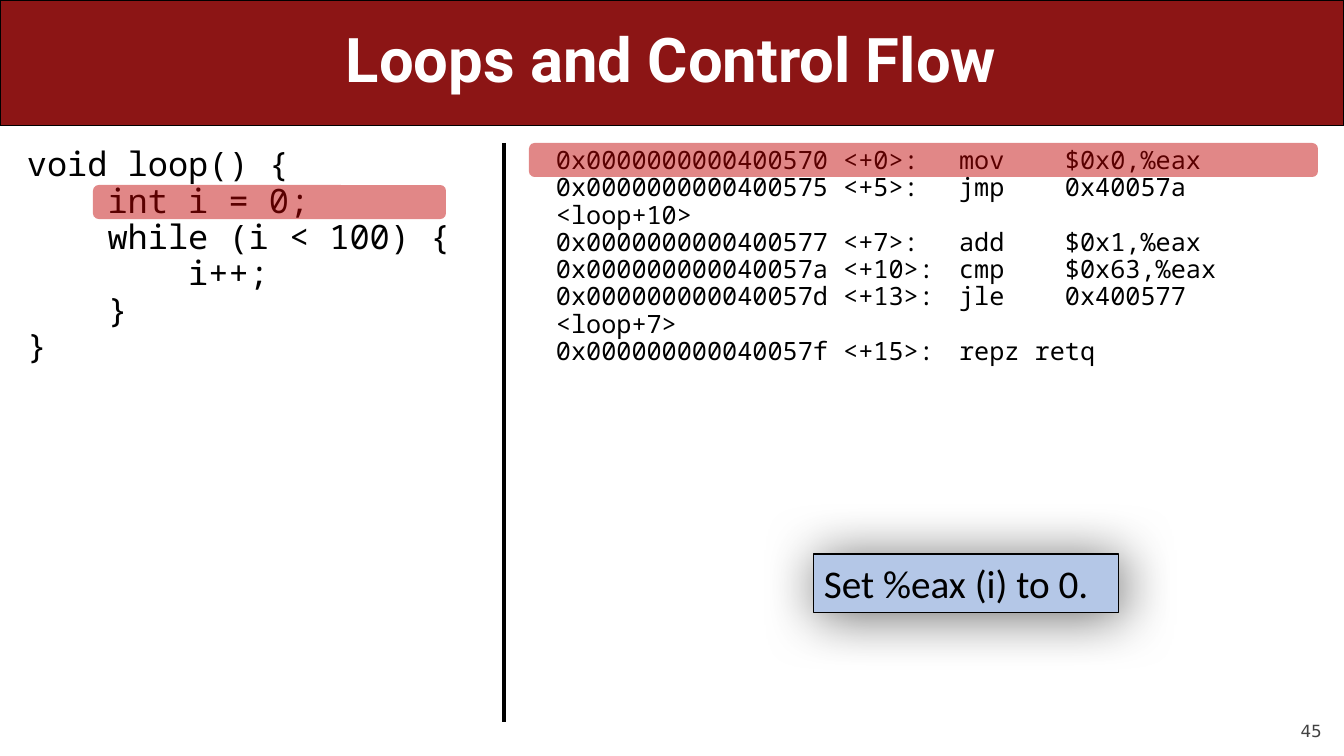
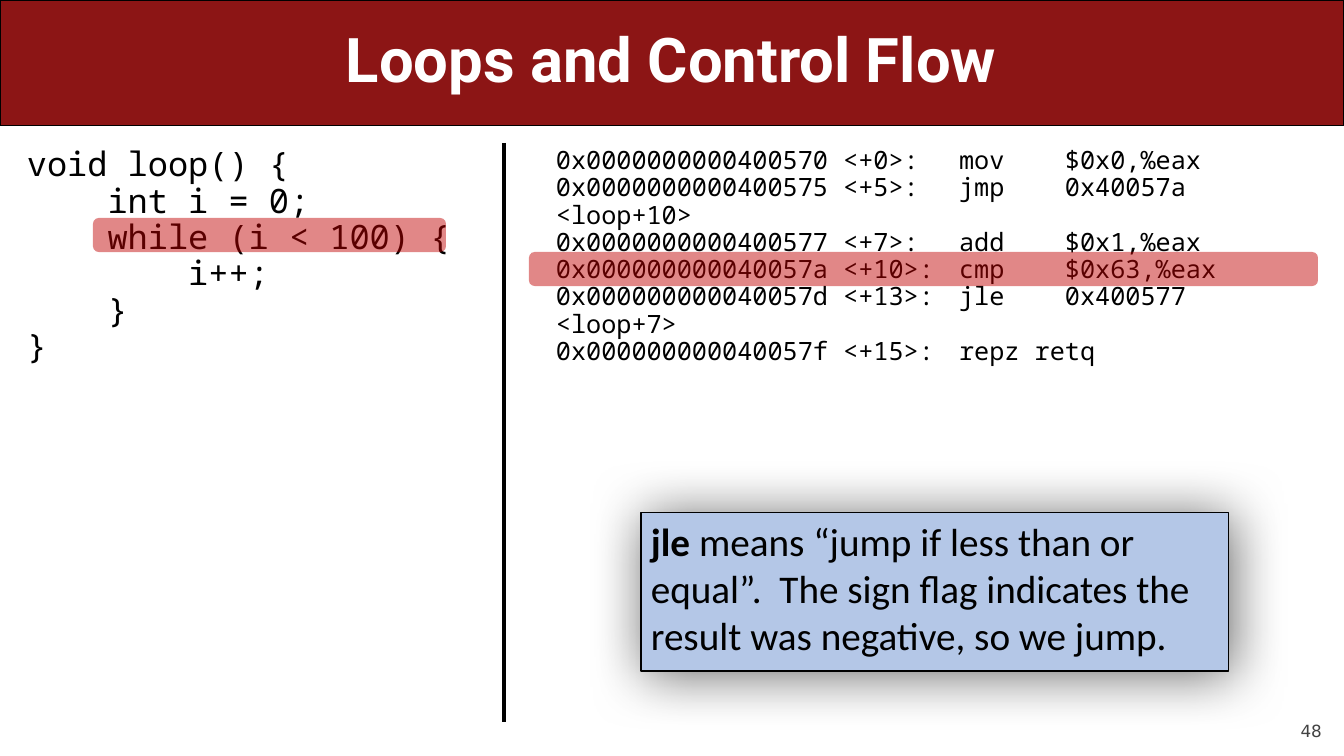
from lxml.etree import SubElement
from pptx import Presentation
from pptx.dml.color import RGBColor
from pptx.enum.shapes import MSO_CONNECTOR, MSO_SHAPE
from pptx.enum.text import MSO_ANCHOR, PP_ALIGN
from pptx.oxml import parse_xml
from pptx.oxml.ns import nsdecls, qn
from pptx.util import Pt

SCALE = 914400 / 100.8
HEX = {"band": "8C1515", "black": "000000", "white": "FFFFFF",
       "gray": "424242", "note": "B4C7E7", "mark": "C00000"}
TITLE = "Loops and Control Flow"
MONO = "Noto Sans Mono"
CODE = [
    "void loop() {",
    "    int i = 0;",
    "    while (i < 100) {",
    "        i++;",
    "    }",
    "}",
]
ASM = [
    "0x0000000000400570 <+0>:\tmov    $0x0,%eax",
    "0x0000000000400575 <+5>:\tjmp    0x40057a <loop+10>",
    "0x0000000000400577 <+7>:\tadd    $0x1,%eax",
    "0x000000000040057a <+10>:\tcmp    $0x63,%eax",
    "0x000000000040057d <+13>:\tjle    0x400577 <loop+7>",
    "0x000000000040057f <+15>:\trepz retq",
]
PAGES = [
    {"number": "45", "code": 185, "asm": 143, "box": (814, 554, 305, 59),
     "note": [("Set %eax (i) to 0.", False)]},
    {"number": "48", "code": 218, "asm": 252, "box": (641, 512, 588, 159),
     "note": [("jle", True),
              (" means “jump if less than or equal”.  The sign flag indicates "
               "the result was negative, so we jump.", False)]},
]
SHADOW = f"""<a:effectLst {nsdecls("a")}>
<a:outerShdw blurRad="{Pt(40)}" dist="{Pt(3)}" dir="2700000" algn="tl" rotWithShape="0">
<a:srgbClr val="{HEX["black"]}"><a:alpha val="58000"/></a:srgbClr>
</a:outerShdw></a:effectLst>"""


def block(slide, kind, box, fill, line=None):
    shape = slide.shapes.add_shape(kind, *[round(n * SCALE) for n in box])
    shape.shadow.inherit = False
    shape.fill.solid()
    shape.fill.fore_color.rgb = RGBColor.from_string(HEX[fill])
    if line:
        shape.line.color.rgb = RGBColor.from_string(HEX[line])
        shape.line.width = Pt(0.75)
    else:
        shape.line.fill.background()
    return shape


def write(slide, box, lines, font, size, color="black", align=PP_ALIGN.LEFT,
          space=0.9, anchor=MSO_ANCHOR.TOP, shape=None):
    if shape is None:
        shape = slide.shapes.add_textbox(*[round(n * SCALE) for n in box])
    frame = shape.text_frame
    frame.word_wrap = True
    frame.vertical_anchor = anchor
    for i, line in enumerate(lines):
        para = frame.add_paragraph() if i else frame.paragraphs[0]
        para.text = line
        para.alignment = align
        para.line_spacing = space
        para.font.name = font
        para.font.size = Pt(size)
        para.font.color.rgb = RGBColor.from_string(HEX[color])
    return frame


deck = Presentation()
deck.slide_width = round(1344 * SCALE)
deck.slide_height = round(756 * SCALE)

for page in PAGES:
    slide = deck.slides.add_slide(deck.slide_layouts[6])

    foot = write(slide, (1210, 701, 112, 40), [page["number"]], "DejaVu Sans",
                 12, "gray", PP_ALIGN.RIGHT, 1.0, MSO_ANCHOR.BOTTOM)
    foot.margin_left = foot.margin_right = 0
    foot.margin_top = foot.margin_bottom = 0
    foot.paragraphs[0].space_before = Pt(5)

    block(slide, MSO_SHAPE.RECTANGLE, (0, 0, 1344, 126), "band", "black")
    head = write(slide, (50, 0, 1243, 126), [TITLE], "Roboto", 44, "white",
                 PP_ALIGN.CENTER, anchor=MSO_ANCHOR.MIDDLE)
    head.paragraphs[0].font.bold = True

    write(slide, (17, 143, 446, 572), CODE, MONO, 24)
    write(slide, (546, 143, 777, 572), ASM, MONO, 18)

    rule = slide.shapes.add_connector(
        MSO_CONNECTOR.STRAIGHT, *[round(n * SCALE) for n in (504, 143, 504, 722)])
    rule.line.color.rgb = RGBColor.from_string(HEX["black"])
    rule.line.width = Pt(3)
    SubElement(rule._element.spPr, qn("a:effectLst"))

    note = block(slide, MSO_SHAPE.RECTANGLE, page["box"], "note", "black")
    props = note._element.spPr
    props.replace(props.find(qn("a:effectLst")), parse_xml(SHADOW))
    frame = write(slide, None, [""], "Calibri", 28, space=1.0, shape=note)
    for words, bold in page["note"]:
        run = frame.paragraphs[0].add_run()
        run.text = words
        run.font.bold = bold

    for box in ((529, page["asm"], 789, 34), (93, page["code"], 353, 34)):
        mark = block(slide, MSO_SHAPE.ROUNDED_RECTANGLE, box, "mark")
        tint = mark._element.spPr.find(qn("a:solidFill"))[0]
        SubElement(tint, qn("a:alpha"), val="47000")

deck.save("out.pptx")
